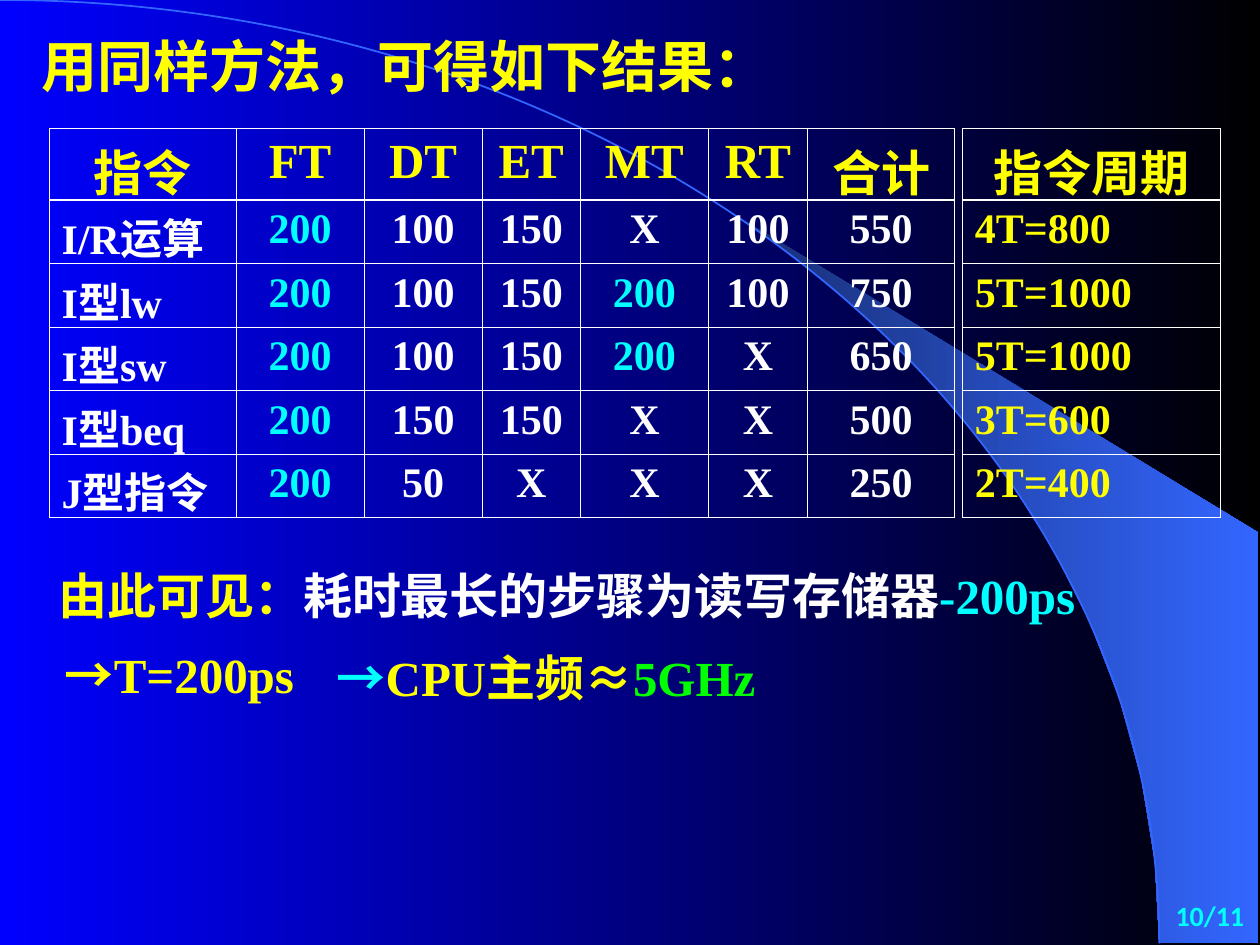
from dataclasses import dataclass
from math import cos, radians, sin

from lxml.etree import SubElement
from pptx import Presentation
from pptx.dml.color import RGBColor
from pptx.enum.text import MSO_AUTO_SIZE, PP_ALIGN
from pptx.oxml.ns import qn
from pptx.util import Cm, Pt


@dataclass(frozen=True)
class Theme:
    white: str = "FFFFFF"
    yellow: str = "FFFF00"
    cyan: str = "00FFFF"
    green: str = "00FF00"
    blue: str = "0000FF"
    black: str = "000000"
    arc: str = "3366FF"
    wedge: str = "182F76"
    latin: str = "Times New Roman"
    cjk: str = "Noto Sans CJK SC"
    footer: str = "Calibri"
    title_size: int = 32
    head_size: int = 28
    body_size: int = 24
    page_size: int = 16
    thin: float = 0.45
    thick: float = 1.47


THEME = Theme()


@dataclass(frozen=True)
class Piece:
    text: str
    color: str
    face: str = THEME.latin


@dataclass(frozen=True)
class Line:
    left: float
    top: float
    width: float
    pieces: tuple[Piece, ...]
    height: float = 1.83
    size: int = THEME.head_size
    spacing: float = 1.3
    hanging: bool = True
    align: PP_ALIGN = PP_ALIGN.LEFT


@dataclass(frozen=True)
class Grid:
    left: float
    widths: tuple[float, ...]
    rows: tuple[tuple[str, ...], ...]
    first_color: str


TOP, HEAD_HEIGHT, ROW_HEIGHT = 2.59, 1.44, 1.28
CELL_BOTTOM = -0.15  # lets tall East Asian lines keep the row height
ARC_WIDTH, ARC_HEIGHT = 23.37, 19.02
WEDGE_RIGHT, WEDGE_CORNER = 25.37, 10.74
WEDGE_START, WEDGE_STEP = 40, 5

TIMINGS = Grid(0.99, (3.77, 2.58, 2.38, 1.98, 2.58, 2, 2.96), (
    ("指令", "FT", "DT", "ET", "MT", "RT", "合计"),
    ("I/R运算", "200", "100", "150", "X", "100", "550"),
    ("I型lw", "200", "100", "150", "200", "100", "750"),
    ("I型sw", "200", "100", "150", "200", "X", "650"),
    ("I型beq", "200", "150", "150", "X", "X", "500"),
    ("J型指令", "200", "50", "X", "X", "X", "250"),
), THEME.white)
CYCLES = Grid(19.4, (5.2,), (
    ("指令周期",), ("4T=800",), ("5T=1000",), ("5T=1000",), ("3T=600",), ("2T=400",),
), THEME.yellow)

TITLE = Line(0.59, 0.3, 15.4, (Piece("用同样方法，可得如下结果：", THEME.yellow),),
             size=THEME.title_size, spacing=1.15, hanging=False)
CONCLUSIONS = (
    Line(0.91, 10.92, 21.62, (
        Piece("由此可见：", THEME.yellow, THEME.cjk),
        Piece("耗时最长的步骤为读写存储器", THEME.white),
        Piece("-200ps", THEME.cyan))),
    Line(1.04, 12.52, 7.7, (
        Piece("→", THEME.yellow, THEME.cjk),
        Piece("T=200ps", THEME.yellow))),
    Line(6.52, 12.57, 11.1, (
        Piece("→", THEME.cyan, THEME.cjk),
        Piece("CPU主频", THEME.yellow),
        Piece("≈", THEME.yellow, THEME.cjk),
        Piece("5GHz", THEME.green))),
)
PAGE = Line(22.33, 17.98, 3, (Piece("10/11", THEME.cyan, THEME.footer),), height=0.99,
            size=THEME.page_size, spacing=1, hanging=False, align=PP_ALIGN.RIGHT)


def rgb(color: str) -> RGBColor:
    return RGBColor.from_string(color)


def set_gradient(fill, start: str, end: str) -> None:
    fill.gradient()
    fill.gradient_angle = 0
    for stop, color, position in zip(fill.gradient_stops, (start, end), (0, 1)):
        stop.color.rgb = rgb(color)
        stop.position = position


def set_face(font, properties, piece: Piece) -> None:
    """Colour the text and name its Latin and East Asian fonts."""
    font.color.rgb = rgb(piece.color)
    font.name = piece.face
    SubElement(properties, qn("a:ea")).set("typeface", THEME.cjk)


def write(paragraph, pieces: tuple[Piece, ...], size: int) -> None:
    paragraph.font.size = Pt(size)
    paragraph.font.bold = True
    for piece in pieces:
        run = paragraph.add_run()
        run.text = piece.text
        if len(pieces) > 1:
            set_face(run.font, run._r.get_or_add_rPr(), piece)
    if len(pieces) == 1:
        properties = paragraph._p.get_or_add_pPr().find(qn("a:defRPr"))
        set_face(paragraph.font, properties, pieces[0])


def draw_line(slide, line: Line) -> None:
    box = slide.shapes.add_textbox(Cm(line.left), Cm(line.top), Cm(line.width), Cm(line.height))
    box.text_frame.word_wrap = True
    if line.align == PP_ALIGN.LEFT:
        box.text_frame.auto_size = MSO_AUTO_SIZE.SHAPE_TO_FIT_TEXT
    paragraph = box.text_frame.paragraphs[0]
    paragraph.alignment = line.align
    paragraph.line_spacing = line.spacing
    if line.hanging:
        box.text_frame.margin_left = box.text_frame.margin_right = Cm(0.27)
        indents = paragraph._p.get_or_add_pPr()
        indents.set("marL", str(Cm(1.27)))
        indents.set("indent", str(-Cm(1.27)))
    write(paragraph, line.pieces, line.size)


def set_borders(cell, row: int) -> None:
    """Outline a cell, with a thicker rule between header and body."""
    properties = cell._tc.get_or_add_tcPr()
    thick_side = {0: "B", 1: "T"}.get(row)
    for index, side in enumerate("LRTB"):
        width = THEME.thick if side == thick_side else THEME.thin
        border = properties.makeelement(qn(f"a:ln{side}"), {"w": str(Pt(width))})
        color = SubElement(SubElement(border, qn("a:solidFill")), qn("a:srgbClr"))
        color.set("val", THEME.white)
        properties.insert(index, border)


def cell_piece(grid: Grid, row: int, column: int) -> Piece:
    text = grid.rows[row][column]
    if row == 0:
        return Piece(text, THEME.yellow, THEME.latin if text.isascii() else THEME.cjk)
    if column == 0:
        return Piece(text, grid.first_color)
    return Piece(text, THEME.cyan if text == "200" else THEME.white)


def draw_grid(slide, grid: Grid) -> None:
    height = HEAD_HEIGHT + ROW_HEIGHT * (len(grid.rows) - 1)
    table = slide.shapes.add_table(len(grid.rows), len(grid.widths), Cm(grid.left), Cm(TOP),
                                   Cm(sum(grid.widths)), Cm(height)).table
    table.first_row = table.horz_banding = False
    for column, width in zip(table.columns, grid.widths):
        column.width = Cm(width)
    for row, values in enumerate(grid.rows):
        table.rows[row].height = Cm(ROW_HEIGHT if row else HEAD_HEIGHT)
        for column in range(len(values)):
            cell = table.cell(row, column)
            cell.fill.background()
            cell.margin_bottom = Cm(CELL_BOTTOM)
            set_borders(cell, row)
            paragraph = cell.text_frame.paragraphs[0]
            centred = row == 0 or column > 0
            paragraph.alignment = PP_ALIGN.CENTER if centred else PP_ALIGN.LEFT
            write(paragraph, (cell_piece(grid, row, column),),
                  THEME.body_size if row else THEME.head_size)


def draw_outline(slide, points: list[tuple[float, float]], close: bool):
    corners = [(Cm(x), Cm(y)) for x, y in points]
    builder = slide.shapes.build_freeform(*corners[0])
    builder.add_line_segments(corners[1:], close=close)
    outline = builder.convert_to_shape()
    outline.shadow.inherit = False
    return outline


def bend(outline) -> None:
    """Turn the three straight segments of an outline into one Bézier curve."""
    segments = list(outline._element.iter(qn("a:lnTo")))
    curve = SubElement(segments[0].getparent(), qn("a:cubicBezTo"))
    for segment in segments:
        curve.append(segment[0])
        segment.getparent().remove(segment)


def draw_backdrop(slide) -> None:
    set_gradient(slide.background.fill, THEME.blue, THEME.black)
    angles = [radians(degree) for degree in range(WEDGE_START, 91, WEDGE_STEP)]
    edge = [(ARC_WIDTH * sin(a), ARC_HEIGHT * (1 - cos(a))) for a in angles]
    corners = [(WEDGE_RIGHT, ARC_HEIGHT), (WEDGE_RIGHT, WEDGE_CORNER)]
    wedge = draw_outline(slide, edge + corners, close=True)
    set_gradient(wedge.fill, THEME.wedge, THEME.arc)
    wedge.line.fill.background()
    handle = 0.55
    arc = draw_outline(slide, [(0, 0), (ARC_WIDTH * handle, 0),
                               (ARC_WIDTH, ARC_HEIGHT * (1 - handle)),
                               (ARC_WIDTH, ARC_HEIGHT)], close=False)
    bend(arc)
    arc.fill.background()
    arc.line.color.rgb = rgb(THEME.arc)
    arc.line.width = Pt(1)


def main() -> None:
    deck = Presentation()
    deck.slide_width, deck.slide_height = Cm(25.4), Cm(19.05)
    slide = deck.slides.add_slide(deck.slide_layouts[6])
    draw_backdrop(slide)
    for grid in (TIMINGS, CYCLES):
        draw_grid(slide, grid)
    for line in (TITLE, *CONCLUSIONS, PAGE):
        draw_line(slide, line)
    deck.save("out.pptx")


if __name__ == "__main__":
    main()
